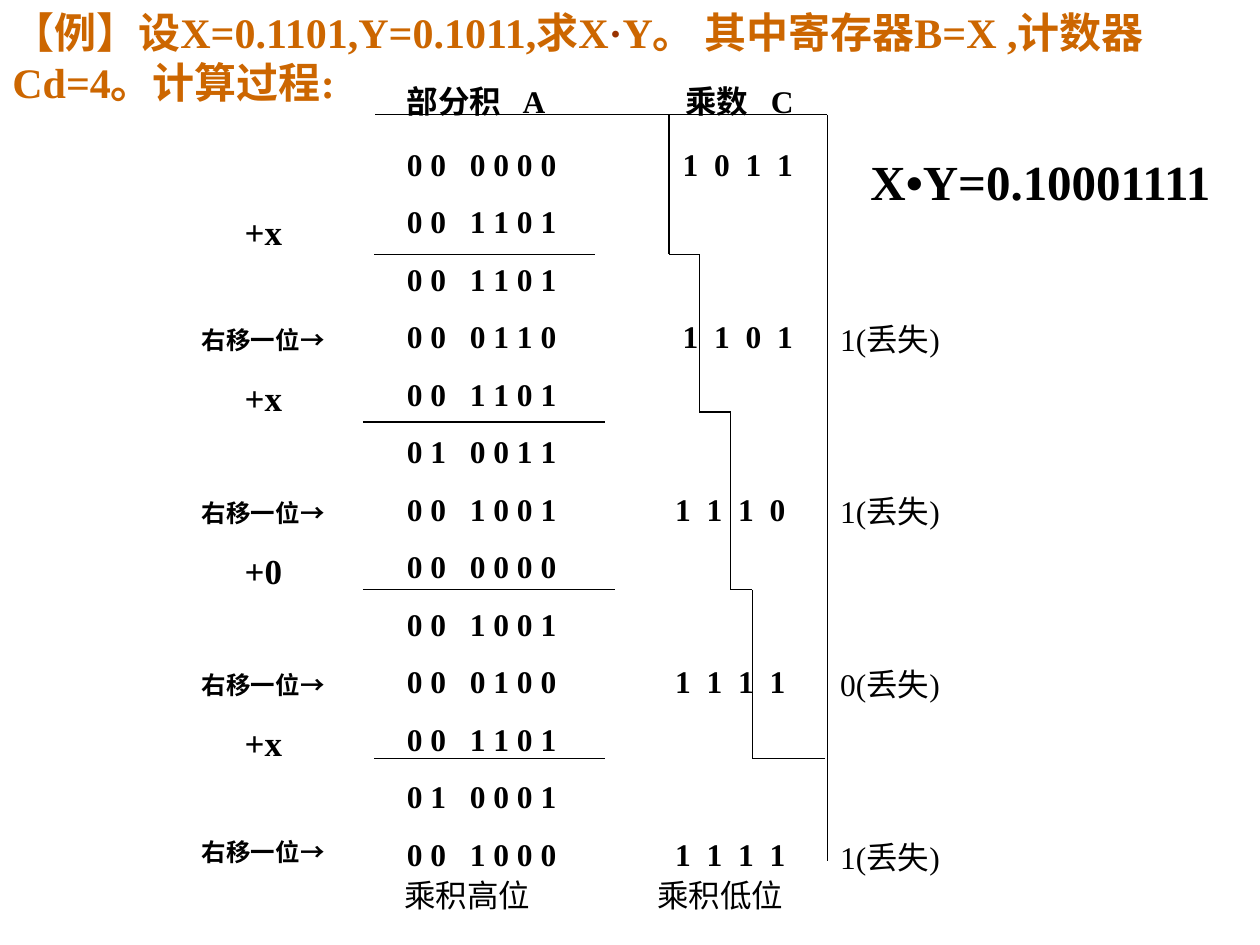
"""Build a slide that works through a fixed-point multiplication."""
from itertools import pairwise

from lxml.etree import SubElement
from pptx import Presentation
from pptx.dml.color import RGBColor
from pptx.enum.shapes import MSO_CONNECTOR
from pptx.enum.text import PP_ALIGN
from pptx.oxml.ns import qn
from pptx.util import Inches, Pt

BLACK = RGBColor(0x00, 0x00, 0x00)
ORANGE = RGBColor(0xCC, 0x66, 0x00)
BROWN = RGBColor(0x99, 0x33, 0x00)
FONT = "Times New Roman"

TITLE = [
    ("【例】设X=0.1101,Y=0.1011,求X", ORANGE),
    ("·", BROWN),
    ("Y。 其中寄存器B=X ,计数器Cd=4。计算过程:", ORANGE),
]
RESULT = "X•Y=0.10001111"
HEADER = ["部分积", "A", "乘数", "C"]
HEADER_TABS = [0.92, 2.21, 2.89]
FOOTER = ["乘积高位", "乘积低位"]
FOOTER_TABS = [2.01]
ROWS = [
    ("00", "0000", "1011"),
    ("00", "1101", ""),
    ("00", "1101", ""),
    ("00", "0110", "1101"),
    ("00", "1101", ""),
    ("01", "0011", ""),
    ("00", "1001", "1110"),
    ("00", "0000", ""),
    ("00", "1001", ""),
    ("00", "0100", "1111"),
    ("00", "1101", ""),
    ("01", "0001", ""),
    ("00", "1000", "1111"),
]
SHIFT = "右移一位→"
STEPS = [
    ("+x", 20, 0), (SHIFT, 14, 41.7),
    ("+x", 20, 12.5), (SHIFT, 14, 45.3),
    ("+0", 20, 12.5), (SHIFT, 14, 45.3),
    ("+x", 20, 12.5), (SHIFT, 14, 41.7),
]
LOST_BITS = ["1", "1", "0", "1"]
ROW_GAP = 11.25
LOST_GAP = 77
WIDE_ROWS = 6
DIGIT_PITCH = 0.25

SUM_LINES = [(2.97, 4.72, 2.02), (2.88, 4.8, 3.35), (2.88, 4.88, 4.68), (2.97, 4.8, 6.02)]
STAIRCASE = [
    (5.31, 0.91), (5.31, 2.02), (5.55, 2.02), (5.55, 3.27), (5.8, 3.27),
    (5.8, 4.68), (5.97, 4.68), (5.97, 6.02), (6.55, 6.02),
]
FRAME_LINES = [((2.98, 0.91), (6.56, 0.91)), ((6.57, 0.91), (6.57, 6.83))]


def add_box(slide, left, top, width, height):
    """Add a wrapping text box and return its text frame."""
    shape = slide.shapes.add_textbox(Inches(left), Inches(top), Inches(width), Inches(height))
    shape.text_frame.word_wrap = True
    return shape.text_frame


def add_text(frame, text, *, size=18, bold=False, color=BLACK, gap=0, align=PP_ALIGN.LEFT, tabs=()):
    """Add one paragraph, given as a string or as (string, colour) runs."""
    paragraph = frame.add_paragraph() if frame.text else frame.paragraphs[0]
    paragraph.alignment = align
    paragraph.space_before = Pt(gap)
    if tabs:
        tab_list = SubElement(paragraph._p.get_or_add_pPr(), qn("a:tabLst"))
        for position in tabs:
            SubElement(tab_list, qn("a:tab"), pos=str(Inches(position)), algn="l")
    for content, run_color in [(text, color)] if isinstance(text, str) else text:
        run = paragraph.add_run()
        run.text = content
        run.font.size = Pt(size)
        run.font.bold = bold
        run.font.color.rgb = run_color
        run.font.name = FONT


def add_line(slide, start, end):
    """Add a thin black straight line."""
    line = slide.shapes.add_connector(MSO_CONNECTOR.STRAIGHT, *map(Inches, start + end))
    line.line.color.rgb = BLACK
    line.line.width = Pt(0.75)
    SubElement(line._element.spPr, qn("a:effectLst"))


def add_rows(slide):
    """Add the partial products with the multiplier digits on tab stops."""
    frame = add_box(slide, 3.13, 1.1, 5.08, 5.88)
    for index, (sign, digits, multiplier) in enumerate(ROWS):
        start = 2.19 if index < WIDE_ROWS else 2.13
        tabs = [0.5] + [start + DIGIT_PITCH * place for place in range(len(multiplier))]
        text = "\t".join([" ".join(sign), " ".join(digits), *multiplier])
        add_text(frame, text, bold=True, gap=ROW_GAP if index else 0, tabs=tabs)


def main():
    """Assemble and save the slide."""
    presentation = Presentation()
    presentation.slide_width = Inches(10)
    presentation.slide_height = Inches(7.5)
    slide = presentation.slides.add_slide(presentation.slide_layouts[6])

    add_text(add_box(slide, 0, 0, 10, 0.9), TITLE, size=24, bold=True)
    add_rows(slide)

    steps = add_box(slide, 1.3, 1.62, 1.58, 5.3)
    for text, size, gap in STEPS:
        add_text(steps, text, size=size, bold=True, gap=gap, align=PP_ALIGN.CENTER)

    add_text(add_box(slide, 3.13, 0.6, 3.33, 0.7), "\t".join(HEADER), bold=True, tabs=HEADER_TABS)
    add_text(add_box(slide, 3.11, 6.9, 3.92, 0.4), "\t".join(FOOTER), tabs=FOOTER_TABS)

    sums = [((left, top), (right, top)) for left, right, top in SUM_LINES]
    for start, end in [*sums, *FRAME_LINES, *pairwise(STAIRCASE)]:
        add_line(slide, start, end)

    lost = add_box(slide, 6.57, 2.49, 2, 4.51)
    for index, bit in enumerate(LOST_BITS):
        add_text(lost, f"{bit}(丢失)", gap=LOST_GAP if index else 0)

    add_text(add_box(slide, 6.81, 1.15, 3.19, 0.57), RESULT, size=28, bold=True)
    presentation.save("out.pptx")


if __name__ == "__main__":
    main()
